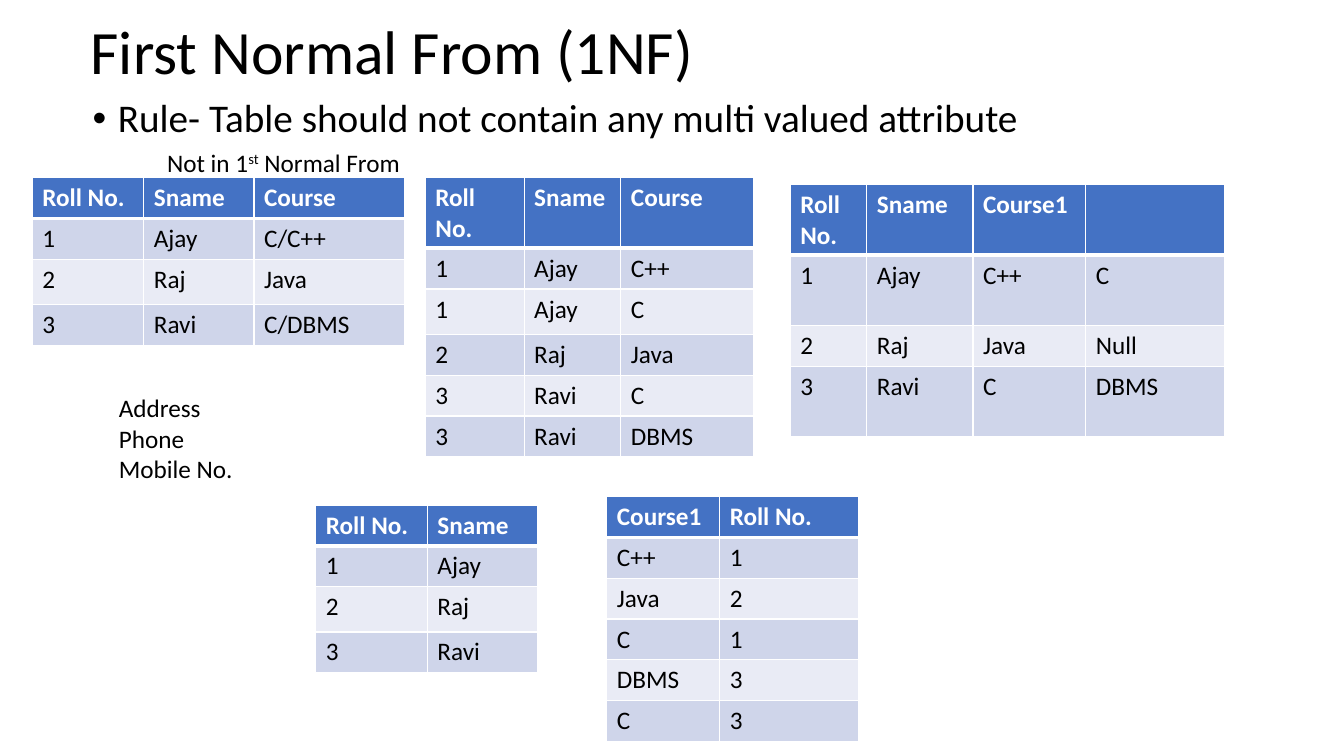
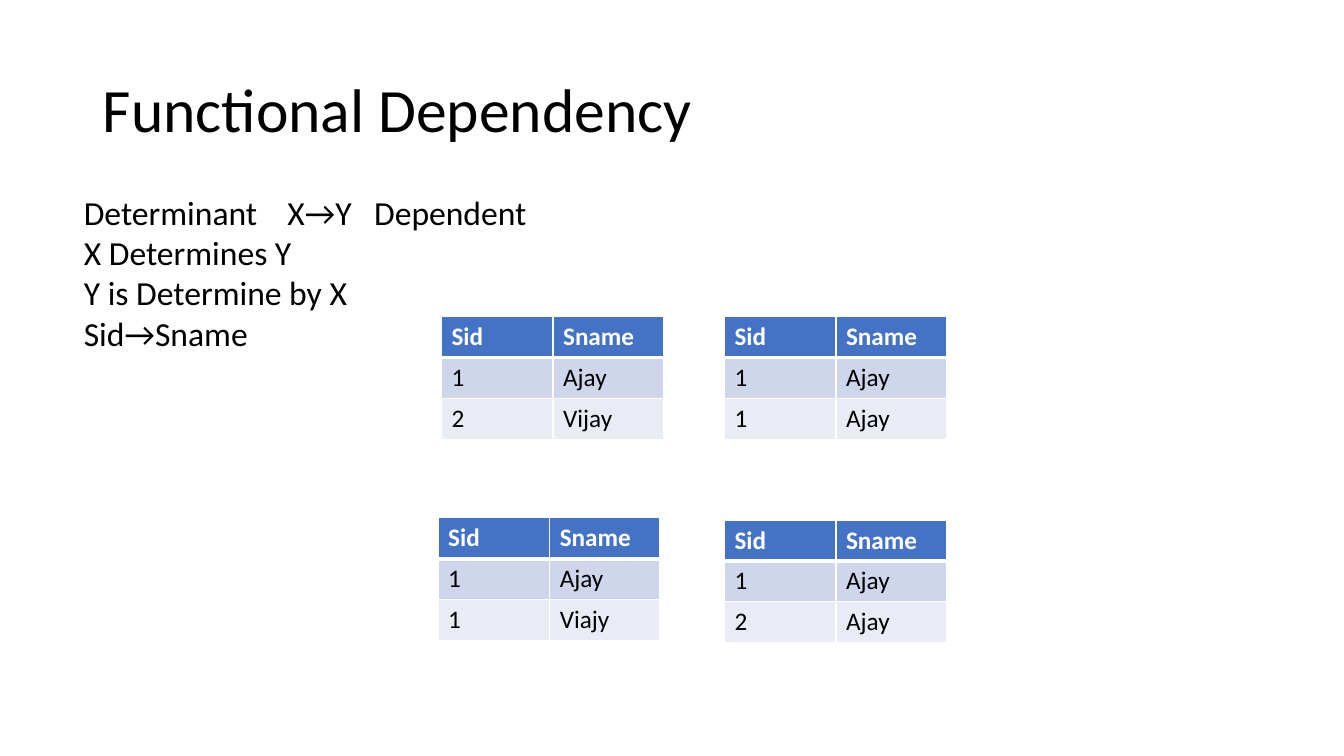
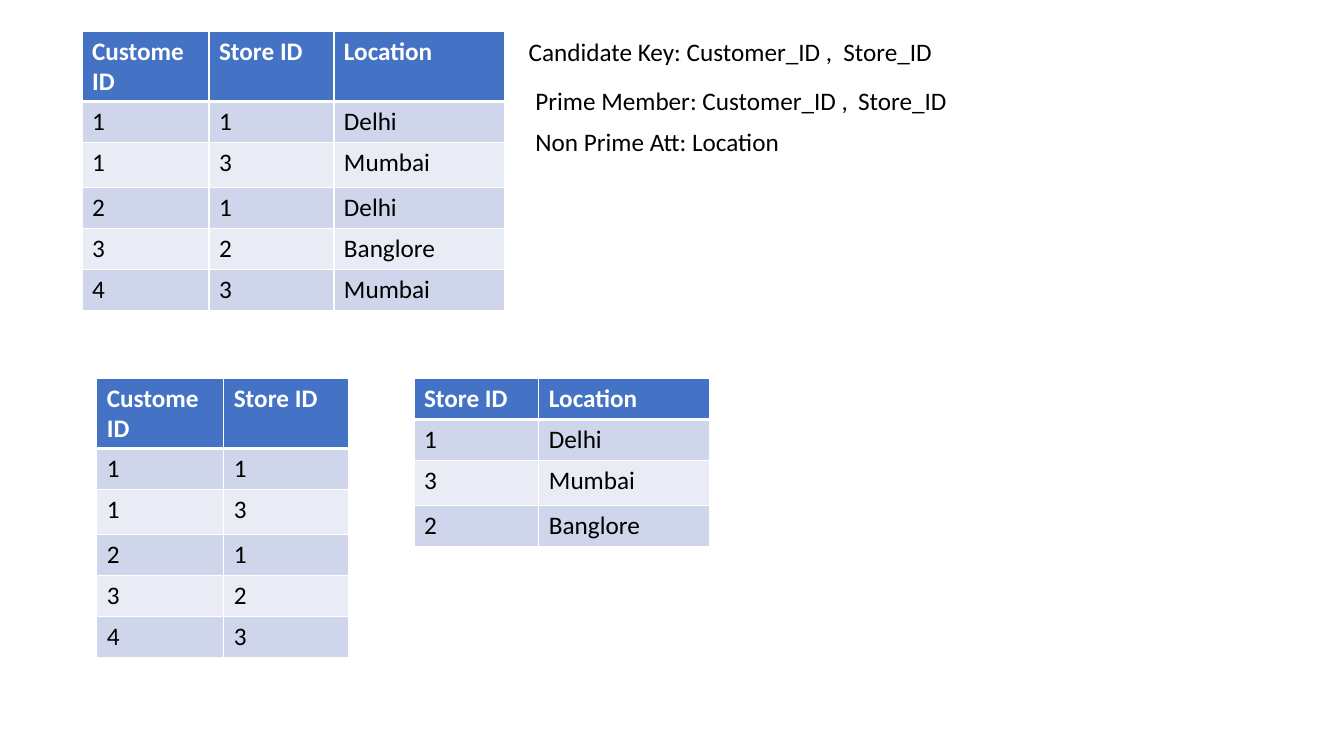
import pptx
import pptx.dml.color
import pptx.enum.text
import pptx.oxml
import pptx.oxml.ns
import pptx.util

SLIDE_WIDTH = pptx.util.Inches(13.33)
SLIDE_HEIGHT = pptx.util.Inches(7.5)

COLORS = {
    "text": "000000",
    "header": "4472C4",
    "header_text": "FFFFFF",
    "odd_row": "CFD5EA",
    "even_row": "E9EBF5",
    "border": "FFFFFF",
}

# Shared text formats: font values and paragraph values
FONTS = {
    "title": {"name": "Calibri", "size": pptx.util.Pt(44), "bold": False},
    "rule": {"name": "Calibri", "size": pptx.util.Pt(28), "bold": False},
    "note": {"name": "Calibri", "size": pptx.util.Pt(24), "bold": False},
    "cell": {"name": "Calibri", "size": pptx.util.Pt(18), "bold": False},
    "header": {"name": "Calibri", "size": pptx.util.Pt(18), "bold": True},
}
TITLE_PARAGRAPH = {"alignment": pptx.enum.text.PP_ALIGN.LEFT, "line_spacing": 0.9,
                   "space_before": pptx.util.Pt(0)}
RULE_PARAGRAPH = {"alignment": pptx.enum.text.PP_ALIGN.LEFT, "line_spacing": 0.9,
                  "space_before": pptx.util.Pt(10)}

# Row heights in percent of the slide height
ROW, ROOMY_ROW, DOUBLE_ROW = 5.4, 6, 9.3

# Contents of the tables
STUDENTS = [("Roll No.", "Sname", "Course"), ("1", "Ajay", "C/C++"),
            ("2", "Raj", "Java"), ("3", "Ravi", "C/DBMS")]
STUDENT_COURSES = [("Roll No.", "Sname", "Course"), ("1", "Ajay", "C++"),
                   ("1", "Ajay", "C"), ("2", "Raj", "Java"),
                   ("3", "Ravi", "C"), ("3", "Ravi", "DBMS")]
WIDE_COURSES = [("Roll No.", "Sname", "Course1", ""), ("1", "Ajay", "C++", "C"),
                ("2", "Raj", "Java", "Null"), ("3", "Ravi", "C", "DBMS")]
COURSES = [("Course1", "Roll No."), ("C++", "1"), ("Java", "2"), ("C", "1"),
           ("DBMS", "3"), ("C", "3")]
PURCHASES = [("Custome ID", "Store ID", "Location"), ("1", "1", "Delhi"),
             ("1", "3", "Mumbai"), ("2", "1", "Delhi"),
             ("3", "2", "Banglore"), ("4", "3", "Mumbai")]


def across(percent):
    return int(SLIDE_WIDTH * percent / 100)


def down(percent):
    return int(SLIDE_HEIGHT * percent / 100)


def box(left, top, width, height):
    """Turn shares of the slide, in percent, into lengths."""
    return across(left), down(top), across(width), down(height)


def apply(target, values):
    for name, value in values.items():
        setattr(target, name, value)


def add_run(paragraph, text, style, color="text"):
    run = paragraph.add_run()
    run.text = text
    apply(run.font, FONTS[style])
    run.font.color.rgb = pptx.dml.color.RGBColor.from_string(COLORS[color])
    return run


def fill_placeholder(shape, area, text, style, paragraph_values):
    apply(shape, dict(zip(("left", "top", "width", "height"), box(*area))))
    shape.text_frame.auto_size = pptx.enum.text.MSO_AUTO_SIZE.NONE
    paragraph = shape.text_frame.paragraphs[0]
    apply(paragraph, paragraph_values)
    add_run(paragraph, text, style)
    return paragraph


def set_title(slide, left, top, text):
    title = slide.shapes.title
    fill_placeholder(title, (left, top, 86.3, 19.3), text, "title", TITLE_PARAGRAPH)
    title.text_frame.vertical_anchor = pptx.enum.text.MSO_ANCHOR.MIDDLE


def set_rule(slide, area, text):
    paragraph = fill_placeholder(slide.placeholders[1], area, text, "rule", RULE_PARAGRAPH)
    indent = pptx.util.Inches(0.25)
    properties = paragraph._p.get_or_add_pPr()
    properties.set("marL", str(indent))
    properties.set("indent", str(-indent))


def set_tabs(paragraph, stops):
    """Add left tab stops, in inches from the text edge."""
    tabs = "".join(f'<a:tab pos="{pptx.util.Inches(stop)}" algn="l"/>' for stop in stops)
    paragraph._p.get_or_add_pPr().append(pptx.oxml.parse_xml(
        f'<a:tabLst {pptx.oxml.ns.nsdecls("a")}>{tabs}</a:tabLst>'))


def add_text(slide, area, lines, style="cell", stops=()):
    frame = slide.shapes.add_textbox(*box(*area)).text_frame
    frame.word_wrap = True
    for index, line in enumerate(lines):
        paragraph = frame.add_paragraph() if index else frame.paragraphs[0]
        add_run(paragraph, line, style)
        if "\t" in line:
            set_tabs(paragraph, stops)
    return frame.paragraphs[0]


def set_borders(cell, row_index):
    properties = cell._tc.get_or_add_tcPr()
    widths = {"L": 1, "R": 1, "T": 3 if row_index == 1 else 1,
              "B": 3 if row_index == 0 else 1}
    for position, (side, width) in enumerate(widths.items()):
        properties.insert(position, pptx.oxml.parse_xml(
            f'<a:ln{side} {pptx.oxml.ns.nsdecls("a")} w="{pptx.util.Pt(width)}">'
            f'<a:solidFill><a:srgbClr val="{COLORS["border"]}"/></a:solidFill></a:ln{side}>'))


def add_table(slide, left, top, column_widths, records, heights=None):
    """Draw banded records; heights maps row numbers to unusual heights."""
    row_heights = [(heights or {}).get(index, ROW) for index in range(len(records))]
    area = box(left, top, sum(column_widths), sum(row_heights))
    table = slide.shapes.add_table(len(records), len(column_widths), *area).table
    for column, width in zip(table.columns, column_widths):
        column.width = across(width)
    for row_index, record in enumerate(records):
        table.rows[row_index].height = down(row_heights[row_index])
        band = "header" if row_index == 0 else ("even_row", "odd_row")[row_index % 2]
        style, color = ("cell", "text") if row_index else ("header", "header_text")
        for column_index, text in enumerate(record):
            cell = table.cell(row_index, column_index)
            cell.fill.solid()
            cell.fill.fore_color.rgb = pptx.dml.color.RGBColor.from_string(COLORS[band])
            set_borders(cell, row_index)
            if text:
                add_run(cell.text_frame.paragraphs[0], text, style, color)


def build_first_normal_form(presentation):
    slide = presentation.slides.add_slide(presentation.slide_layouts[1])
    set_title(slide, 6, -2.4, "First Normal From (1NF)")
    set_rule(slide, (6.15, 12.4, 86.3, 63.5),
             "Rule- Table should not contain any multi valued attribute")
    add_text(slide, (8.1, 51.3, 10.5, 13.5), ["Address", "Phone", "Mobile No."])
    caption = add_text(slide, (11.7, 18.8, 19.5, 5.3), ["Not in 1"])
    ordinal = add_run(caption, "st", "cell")
    ordinal._r.get_or_add_rPr().set("baseline", "30000")
    add_run(caption, " Normal From", "cell")

    # Source table and its two flat forms
    add_table(slide, 2.4, 23.5, (8.3, 8.2, 11.2), STUDENTS, {2: ROOMY_ROW})
    add_table(slide, 31.65, 23.5, (7.35, 7.2, 9.9), STUDENT_COURSES,
              {0: DOUBLE_ROW, 2: ROOMY_ROW})
    add_table(slide, 58.8, 24.4, (5.7, 7.9, 8.4, 10.35), WIDE_COURSES,
              {0: DOUBLE_ROW, 1: DOUBLE_ROW, 3: DOUBLE_ROW})

    # Split into two tables
    add_table(slide, 23.5, 66.8, (8.3, 8.2), [record[:2] for record in STUDENTS],
              {2: ROOMY_ROW})
    add_table(slide, 45.15, 65.7, (8.4, 10.35), COURSES)


def build_functional_dependency(presentation):
    slide = presentation.slides.add_slide(presentation.slide_layouts[5])
    set_title(slide, 6.9, 5.3, "Functional Dependency")
    add_text(slide, (5.5, 24.7, 36.5, 43),
             ["Determinant\tX→Y\tDependent", "X Determines Y",
              "Y is Determine by X", "Sid→Sname"], "note", (2.02, 2.88))
    examples = [
        (32.85, 41.9, ("1", "Ajay"), ("2", "Vijay")),
        (32.6, 68.5, ("1", "Ajay"), ("1", "Viajy")),
        (53.9, 41.9, ("1", "Ajay"), ("1", "Ajay")),
        (53.9, 68.8, ("1", "Ajay"), ("2", "Ajay")),
    ]
    for left, top, *records in examples:
        add_table(slide, left, top, (8.3, 8.2), [("Sid", "Sname"), *records])


def build_candidate_key(presentation):
    slide = presentation.slides.add_slide(presentation.slide_layouts[6])
    customer, store, location = 9.45, 9.3, 12.7
    tall_header = {0: DOUBLE_ROW, 2: ROOMY_ROW}
    add_table(slide, 6.1, 4.1, (customer, store, location), PURCHASES, tall_header)

    # Key notes
    add_text(slide, (38.6, 4.1, 33, 5.3),
             ["Candidate Key: Customer_ID ,\tStore_ID"], stops=[3.12])
    add_text(slide, (39.1, 10.7, 33, 5.3),
             ["Prime Member: Customer_ID ,\tStore_ID"], stops=[3.2])
    add_text(slide, (39.1, 16, 33, 5.3), ["Non Prime Att: Location"])

    # Split into customers by store and distinct store locations
    add_table(slide, 7.2, 50, (customer, store),
              [record[:2] for record in PURCHASES], tall_header)
    add_table(slide, 30.8, 50.1, (store, location),
              list(dict.fromkeys(record[1:] for record in PURCHASES)), {2: ROOMY_ROW})


def main():
    presentation = pptx.Presentation()
    apply(presentation, {"slide_width": SLIDE_WIDTH, "slide_height": SLIDE_HEIGHT})
    build_first_normal_form(presentation)
    build_functional_dependency(presentation)
    build_candidate_key(presentation)
    presentation.save("out.pptx")


if __name__ == "__main__":
    main()
